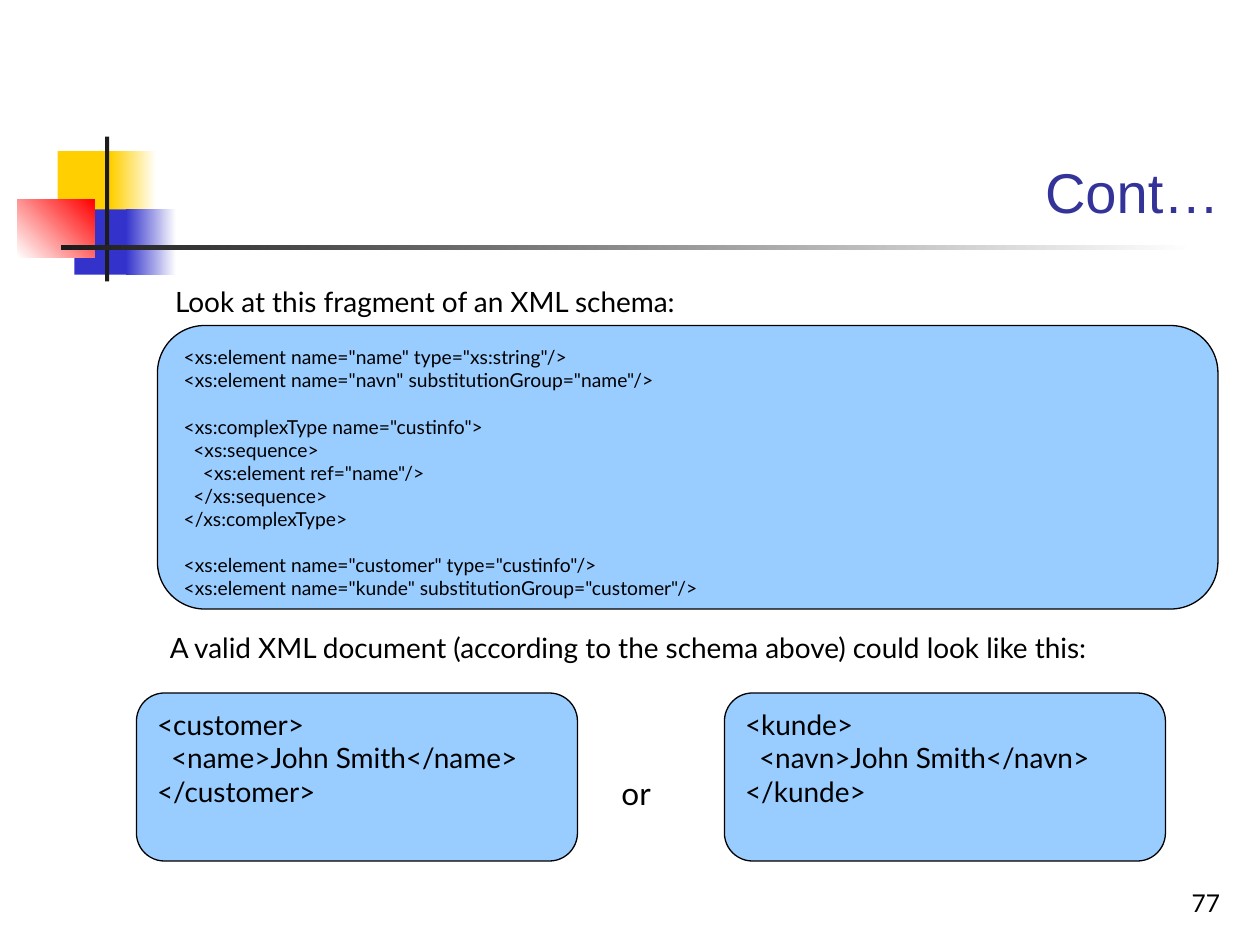
from dataclasses import dataclass

from pptx import Presentation
from pptx.dml.color import RGBColor
from pptx.enum.shapes import MSO_SHAPE
from pptx.enum.text import MSO_ANCHOR, MSO_AUTO_SIZE, PP_ALIGN
from pptx.util import Pt


@dataclass(frozen=True)
class Theme:
    title_font: str = "Arial"
    body_font: str = "Lato"
    ink: str = "000000"
    title: str = "333399"
    panel: str = "99CCFF"
    yellow: str = "FFCF01"
    blue: str = "3333CC"
    red: str = "FF0000"
    bar: str = "1C1C1C"
    white: str = "FFFFFF"
    title_size: int = 32
    body_size: int = 16
    code_size: int = 11
    or_size: int = 18
    number_size: int = 14


THEME = Theme()


def add_text(tf, text, *, size, font=THEME.body_font, color=THEME.ink,
             align=PP_ALIGN.LEFT, anchor=MSO_ANCHOR.TOP, before=0):
    """Fill a frame; leading spaces become indents, empty lines become spacing."""
    tf.word_wrap = True
    tf.auto_size = MSO_AUTO_SIZE.NONE
    tf.vertical_anchor = anchor
    p, gap = tf.paragraphs[0], before
    for i, line in enumerate(text.split("\n")):
        if not line:
            gap = size * 1.2
            continue
        if i:
            p = tf.add_paragraph()
        words = line.lstrip()
        p.alignment = align
        p.space_before = Pt(gap)
        indent = (len(line) - len(words)) * size / 4
        if indent:
            pPr = p._p.get_or_add_pPr()
            pPr.set("marL", str(Pt(indent)))
            pPr.set("indent", "0")
        r = p.add_run()
        r.text = words
        r.font.name, r.font.size = font, Pt(size)
        r.font.color.rgb = RGBColor.from_string(color)
        gap = 0


class SlideBuilder:
    def __init__(self, prs, theme):
        self.theme = theme
        self.s = prs.slides.add_slide(prs.slide_layouts[5])

    def title(self, text, x, y, w, h):
        sp = self.s.shapes.title
        sp.left, sp.top, sp.width, sp.height = map(Pt, (x, y, w, h))
        add_text(sp.text_frame, text, size=self.theme.title_size,
                 font=self.theme.title_font, color=self.theme.title,
                 align=PP_ALIGN.RIGHT, anchor=MSO_ANCHOR.BOTTOM)

    def shape(self, kind, x, y, w, h):
        sp = self.s.shapes.add_shape(kind, *map(Pt, (x, y, w, h)))
        sp.shadow.inherit = False
        return sp

    def block(self, x, y, w, h, color, fade_to=None, angle=0):
        sp = self.shape(MSO_SHAPE.RECTANGLE, x, y, w, h)
        sp.line.fill.background()
        if fade_to is None:
            sp.fill.solid()
            sp.fill.fore_color.rgb = RGBColor.from_string(color)
            return
        sp.fill.gradient()
        sp.fill.gradient_angle = angle
        for stop, rgb in zip(sp.fill.gradient_stops, (color, fade_to)):
            stop.color.rgb = RGBColor.from_string(rgb)

    def code_panel(self, text, x, y, w, h, size):
        sp = self.shape(MSO_SHAPE.ROUNDED_RECTANGLE, x, y, w, h)
        sp.fill.solid()
        sp.fill.fore_color.rgb = RGBColor.from_string(self.theme.panel)
        sp.line.color.rgb = RGBColor.from_string(self.theme.ink)
        sp.line.width = Pt(0.75)
        add_text(sp.text_frame, text, size=size)

    def label(self, text, x, y, w, h, **style):
        sp = self.s.shapes.add_textbox(*map(Pt, (x, y, w, h)))
        add_text(sp.text_frame, text, **style)


SCHEMA = """<xs:element name="name" type="xs:string"/>
<xs:element name="navn" substitutionGroup="name"/>

<xs:complexType name="custinfo">
  <xs:sequence>
    <xs:element ref="name"/>
  </xs:sequence>
</xs:complexType>

<xs:element name="customer" type="custinfo"/>
<xs:element name="kunde" substitutionGroup="customer"/>"""

DOCUMENTS = (
    "<customer>\n  <name>John Smith</name>\n</customer>",
    "<kunde>\n  <navn>John Smith</navn>\n</kunde>",
)


def main():
    prs = Presentation()
    prs.slide_width, prs.slide_height = Pt(720), Pt(540)
    t = THEME
    b = SlideBuilder(prs, t)

    # Corner ornament and fading rule
    b.block(33, 86.4, 34.6, 37.4, t.yellow)
    b.block(63.4, 86.4, 25.9, 37.4, t.yellow, t.white)
    b.block(42.5, 119.6, 33.1, 37.4, t.blue)
    b.block(72, 119.6, 28.8, 37.4, t.blue, t.white)
    b.block(10, 113.8, 44, 33.2, t.white, t.red, angle=45)
    b.block(60, 78, 2.4, 82.8, t.bar)
    b.block(34.8, 140.2, 648, 2.5, t.bar, t.white)

    # Title
    b.title("Cont…", 90.7, 16.6, 613.4, 115.2)

    # Schema
    b.label("Look at this fragment of an XML schema:", 93, 159, 612, 27,
            size=t.body_size, before=4)
    b.code_panel(SCHEMA, 90, 186, 606, 162, t.code_size)

    # Two valid documents, side by side
    b.label("A valid XML document (according to the schema above) "
            "could look like this:", 90, 357, 612, 27, size=t.body_size)
    for i, text in enumerate(DOCUMENTS):
        b.code_panel(text, 78 + i * 336, 396, 252, 96, t.body_size)
    b.label("or", 348, 439, 48, 29, size=t.or_size)

    # Slide number
    b.label("77", 554.4, 492, 150, 36, size=t.number_size,
            align=PP_ALIGN.RIGHT, anchor=MSO_ANCHOR.BOTTOM)

    prs.save("out.pptx")


if __name__ == "__main__":
    main()
